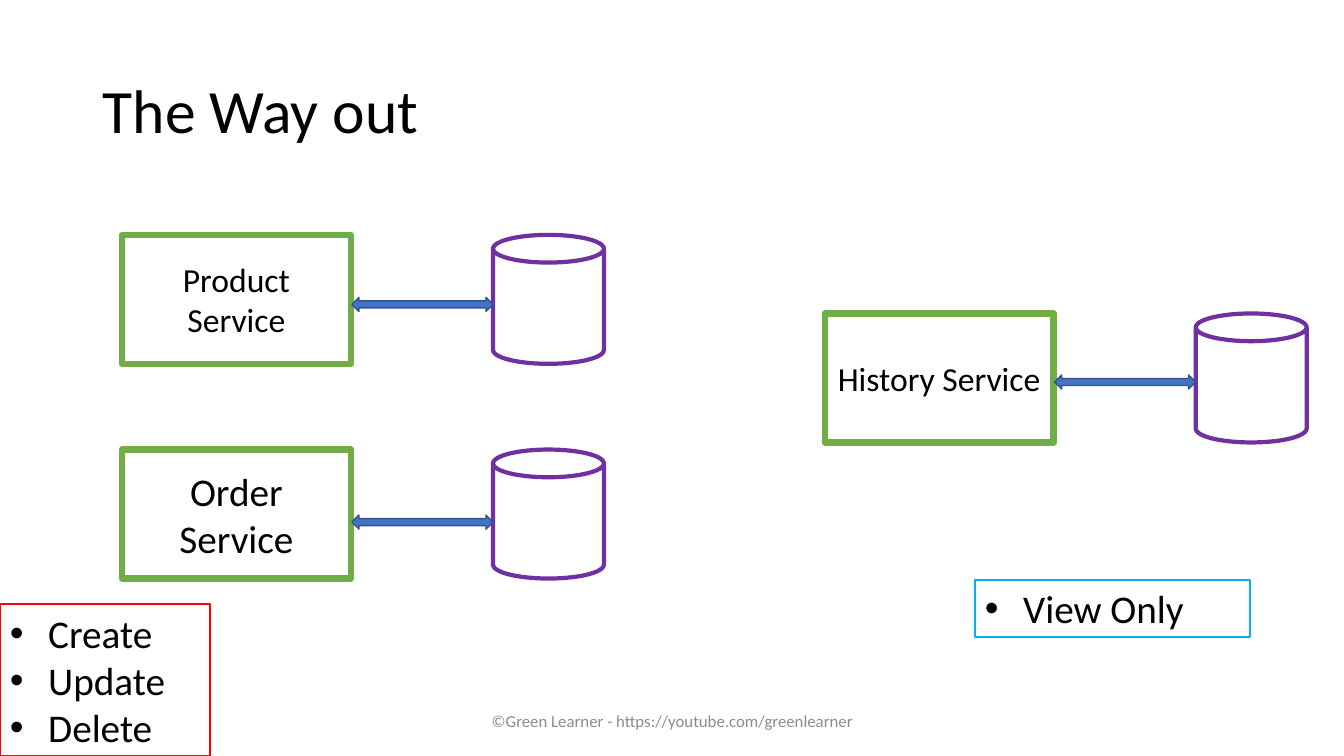
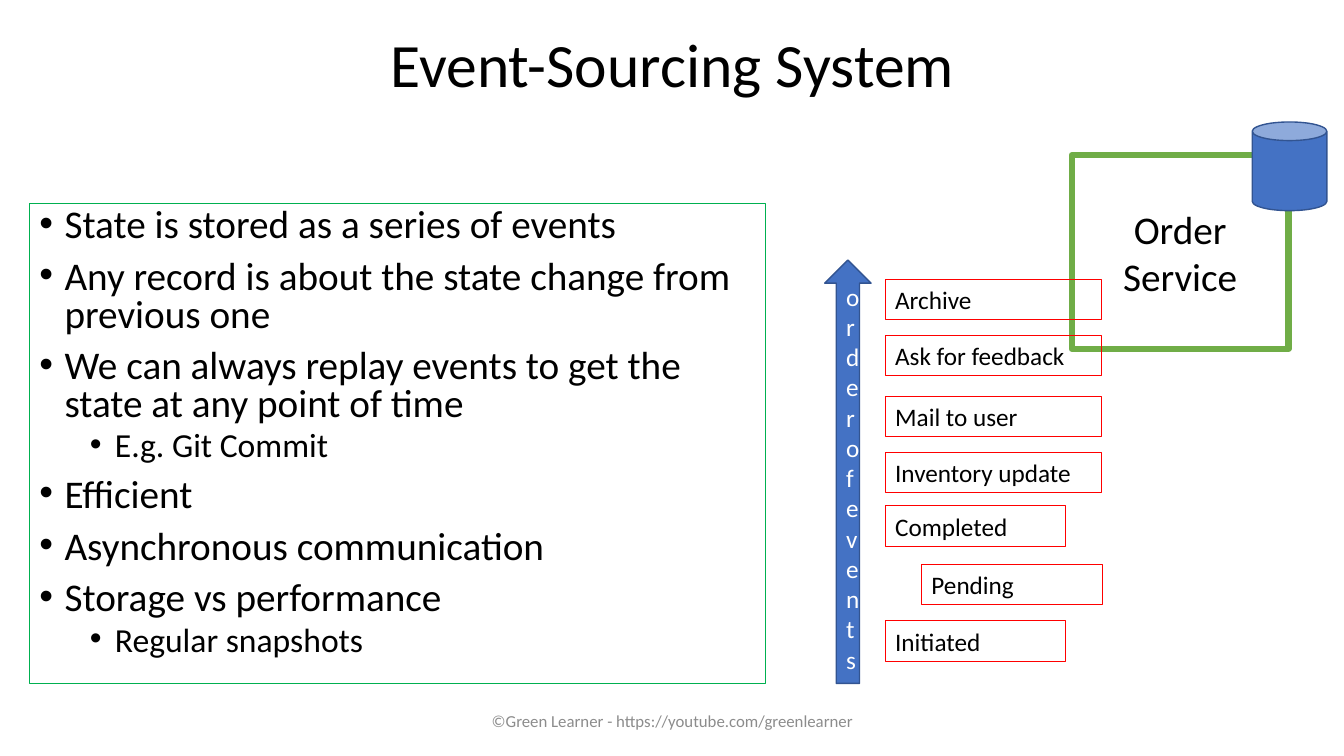
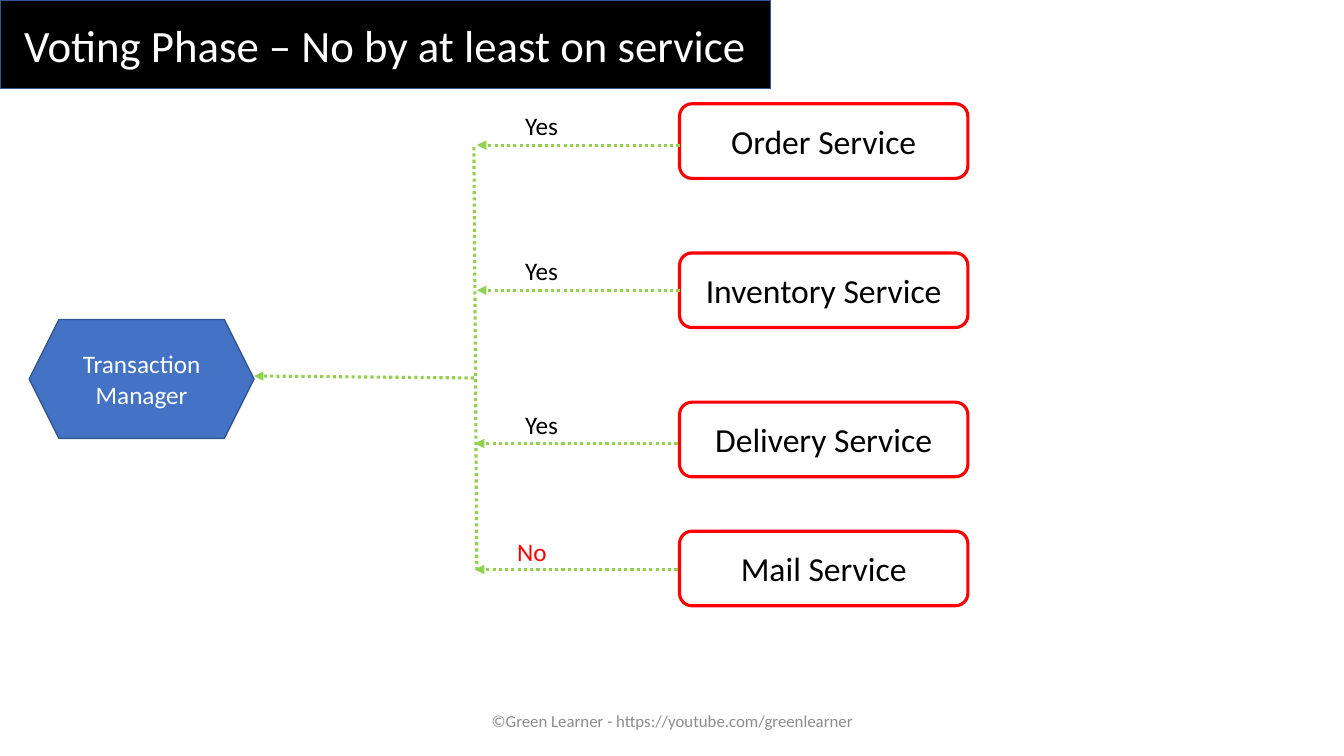
from lxml.etree import SubElement
from pptx import Presentation
from pptx.dml.color import RGBColor
from pptx.enum.dml import MSO_LINE
from pptx.enum.shapes import MSO_CONNECTOR, MSO_SHAPE as SHAPE
from pptx.enum.text import MSO_ANCHOR, MSO_AUTO_SIZE, PP_ALIGN as ALIGN
from pptx.oxml.ns import qn
from pptx.util import Inches, Pt

rgb = RGBColor.from_string
FONT = "Calibri"
BLACK, WHITE, RED = "000000", "FFFFFF", "FF0000"
BLUE, NAVY, GREEN, PURPLE = "4472C4", "325491", "70AD47", "7030A0"
SKY, LIME, LEAF, GREY = "00B0F0", "92D050", "00B050", "8C8C8C"
FOOTER = "©Green Learner - https://youtube.com/greenlearner"


def format_box(box, lines=(), size=18, color=BLACK, fill=None, line=None, width=1,
               align=ALIGN.CENTER, spacing=None):
    """Paint a shape or placeholder and write one paragraph per line of text."""
    if fill:
        box.fill.solid()
        box.fill.fore_color.rgb = rgb(fill)
    if line:
        box.line.color.rgb = rgb(line)
        box.line.width = Pt(width)
    frame = box.text_frame
    frame.word_wrap = True
    frame.auto_size = MSO_AUTO_SIZE.NONE
    frame.vertical_anchor = MSO_ANCHOR.MIDDLE
    for index, text in enumerate(lines):
        para = frame.add_paragraph() if index else frame.paragraphs[0]
        para.alignment = align
        para.line_spacing = spacing
        span = para.add_run()
        span.text = text
        for name, value in {"name": FONT, "size": Pt(size)}.items():
            setattr(span.font, name, value)
        span.font.color.rgb = rgb(color)
    return box


def add_bullet(para, left, hang):
    props = para._p.get_or_add_pPr()
    props.set("marL", str(Inches(left)))
    props.set("indent", str(-Inches(hang)))
    SubElement(props, qn("a:buFont")).set("typeface", "Arial")
    SubElement(props, qn("a:buChar")).set("char", "•")


deck = Presentation()
deck.slide_width, deck.slide_height = Inches(13.33), Inches(7.5)
TITLE_AND_BODY, TITLE_ONLY = deck.slide_layouts[1], deck.slide_layouts[5]

# Titles and footers
plain_title = {"size": 44, "spacing": 0.9}
band_title = {"size": 32, "color": WHITE, "fill": BLACK, "line": NAVY}
titles = [
    ("The Way out", TITLE_ONLY, (0.92, 0.4, 11.5, 1.45), plain_title | {"align": ALIGN.LEFT}),
    ("Event-Sourcing System", TITLE_AND_BODY, (0.92, -0.05, 11.5, 1.45), plain_title),
    ("Voting Phase – No by at least on service", TITLE_ONLY, (0, 0, 7.64, 0.88), band_title),
]
pages = []
for text, layout, place, style in titles:
    page = deck.slides.add_slide(layout)
    title = page.shapes.title
    title.left, title.top, title.width, title.height = map(Inches, place)
    format_box(title, [text], **style)
    footer = page.shapes.add_textbox(*map(Inches, (4.42, 6.95, 4.5, 0.4)))
    format_box(footer, [FOOTER], size=12, color=GREY)
    pages.append(page)
way_out, sourcing, voting = pages

# The Way out: services, each with its own store
service_style = {"fill": WHITE, "line": GREEN, "width": 4.5}
store_style = {"fill": WHITE, "line": PURPLE, "width": 3}
solid_style = {"fill": BLUE, "line": NAVY}
services = [
    ("Product Service", 24, 1.21, 2.33, 2.95),
    ("Order Service", 28, 1.21, 4.46, 5.11),
    ("History Service", 24, 8.18, 3.11, 3.72),
]
for name, size, left, top, arrow_top in services:
    parts = [
        (SHAPE.RECTANGLE, (left, top, 2.27, 1.28), service_style | {"lines": [name], "size": size}),
        (SHAPE.CAN, (left + 3.68, top, 1.1, 1.28), store_style),
        (SHAPE.LEFT_RIGHT_ARROW, (left + 2.28, arrow_top, 1.4, 0.14), solid_style),
    ]
    for kind, place, style in parts:
        part = way_out.shapes.add_shape(kind, *map(Inches, place))
        part.shadow.inherit = False
        format_box(part, **style)

duties = [
    (["Create", "Update", "Delete"], (0, 5.99, 2.08, 1.51), RED),
    (["View Only"], (9.67, 5.75, 2.73, 0.57), SKY),
]
for lines, place, color in duties:
    box = way_out.shapes.add_textbox(*map(Inches, place))
    format_box(box, lines, size=28, line=color, width=1.5, align=ALIGN.LEFT)
    for para in box.text_frame.paragraphs:
        add_bullet(para, 0.38, 0.38)

# Event-Sourcing System: points on the left, event stack on the right
points = [
    (0, "State is stored as a series of events"),
    (0, "Any record is about the state change from previous one"),
    (0, "We can always replay events to get the state at any point of time"),
    (1, "E.g. Git Commit"),
    (0, "Efficient"),
    (0, "Asynchronous communication"),
    (0, "Storage vs performance"),
    (1, "Regular snapshots"),
]
body = sourcing.placeholders[1]
body.left, body.top, body.width, body.height = map(Inches, (0.29, 2.02, 7.3, 4.76))
format_box(body, [text for level, text in points], size=28, line=LEAF, width=0.75,
           align=ALIGN.LEFT, spacing=0.8)
body.text_frame.vertical_anchor = MSO_ANCHOR.TOP
for index, (para, (level, text)) in enumerate(zip(body.text_frame.paragraphs, points)):
    para.level = level
    para.space_before = Pt((5 if level else 10) if index else 0)
    para.runs[0].font.size = Pt(24 if level else 28)
    add_bullet(para, 0.25 + 0.5 * level, 0.25)

order_parts = [
    (SHAPE.RECTANGLE, (10.63, 1.54, 2.15, 1.92),
     service_style | {"lines": ["Order Service"], "size": 28}),
    (SHAPE.CAN, (12.42, 1.21, 0.74, 0.88), solid_style),
    (SHAPE.UP_ARROW, (8.18, 2.58, 0.46, 4.2),
     solid_style | {"lines": ["orderofevents"], "color": WHITE}),
]
for kind, place, style in order_parts:
    part = sourcing.shapes.add_shape(kind, *map(Inches, place))
    part.shadow.inherit = False
    format_box(part, **style)

events = [
    ("Initiated", 8.78, 6.16, 1.79),
    ("Pending", 9.14, 5.6, 1.79),
    ("Completed", 8.78, 5.02, 1.79),
    ("Inventory update", 8.78, 4.49, 2.15),
    ("Mail to user", 8.78, 3.93, 2.15),
    ("Ask for feedback", 8.78, 3.33, 2.15),
    ("Archive", 8.78, 2.77, 2.15),
]
for name, left, top, width in events:
    box = sourcing.shapes.add_textbox(*map(Inches, (left, top, width, 0.4)))
    format_box(box, [name], line=RED, width=0.75, align=ALIGN.LEFT)

# Voting Phase: votes flow from the services to the manager
manager = voting.shapes.add_shape(SHAPE.HEXAGON, *map(Inches, (0.29, 3.17, 2.23, 1.18)))
manager.shadow.inherit = False
format_box(manager, ["Transaction Manager"], color=WHITE, **solid_style)

votes = [
    ("Order Service", 1.03, "Yes", BLACK, 5.11, 1.04, 6.74, 1.44),
    ("Inventory Service", 2.51, "Yes", BLACK, 5.11, 2.48, 6.74, 2.88),
    ("Delivery Service", 3.99, "Yes", BLACK, 5.11, 4.01, 6.72, 4.4),
    ("Mail Service", 5.27, "No", RED, 5.03, 5.27, 6.72, 5.65),
]
flows = [((4.7, 3.75, 2.52, 3.73), True), ((4.7, 1.46, 4.73, 5.69), False)]
for name, top, vote, color, vote_left, vote_top, start, level in votes:
    service = voting.shapes.add_shape(SHAPE.ROUNDED_RECTANGLE,
                                      *map(Inches, (6.74, top, 2.86, 0.74)))
    service.shadow.inherit = False
    format_box(service, [name], size=24, fill=WHITE, line=RED, width=2.25)
    label = voting.shapes.add_textbox(*map(Inches, (vote_left, vote_top, 0.76, 0.4)))
    format_box(label, [vote], color=color, align=ALIGN.LEFT)
    flows.append(((start, level, start - 2.01, level), True))

for ends, has_arrowhead in flows:
    flow = voting.shapes.add_connector(MSO_CONNECTOR.STRAIGHT, *map(Inches, ends))
    flow.line.color.rgb = rgb(LIME)
    flow.line.width = Pt(2.25)
    flow.line.dash_style = MSO_LINE.ROUND_DOT
    props = flow._element.spPr
    if has_arrowhead:
        SubElement(props.find(qn("a:ln")), qn("a:tailEnd")).set("type", "triangle")
    SubElement(props, qn("a:effectLst"))

deck.save("out.pptx")
